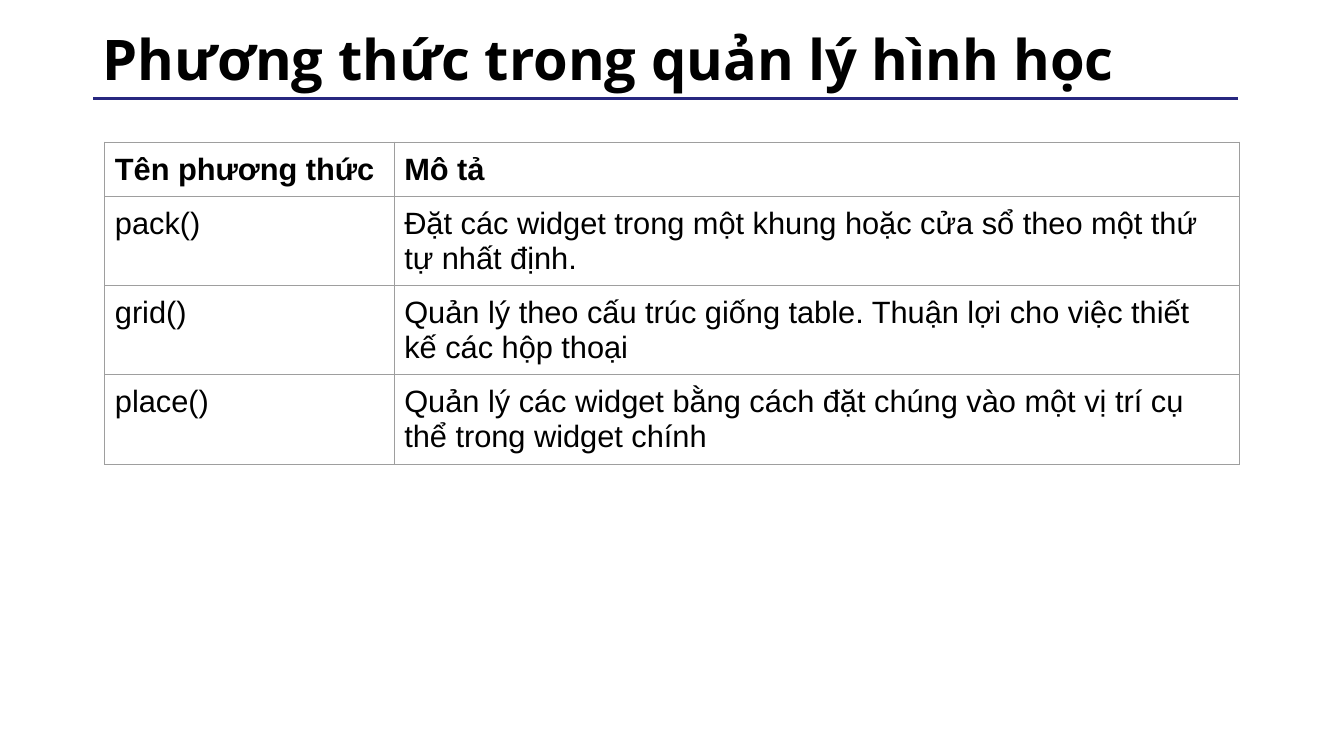
from dataclasses import dataclass

from lxml.etree import SubElement
from pptx import Presentation
from pptx.dml.color import RGBColor
from pptx.enum.shapes import MSO_CONNECTOR
from pptx.enum.text import MSO_ANCHOR, PP_ALIGN
from pptx.oxml import parse_xml
from pptx.oxml.ns import nsdecls, qn
from pptx.util import Inches, Pt


@dataclass(frozen=True)
class Theme:
    title_font: str = "Open Sans"
    body_font: str = "Arial"
    title_size: int = 40
    body_size: int = 22
    text: str = "000000"
    rule: str = "272780"
    border: str = "9E9E9E"
    rule_width: float = 2
    border_width: float = 0.75


THEME = Theme()
WIDTH, HEIGHT = 13.33, 7.5
LEFT = 0.92
TABLE_LEFT, TABLE_TOP = 1.04, 1.41
COLUMNS = (2.87, 8.38)
PADDING = 0.1
LINE_HEIGHT = 0.34
HEADER = ("Tên phương thức", "Mô tả")
METHODS = (
    ("pack()", "Đặt các widget trong một khung hoặc cửa sổ theo một thứ tự nhất định."),
    ("grid()", "Quản lý theo cấu trúc giống table. Thuận lợi cho việc thiết kế các hộp thoại"),
    ("place()", "Quản lý các widget bằng cách đặt chúng vào một vị trí cụ thể trong widget chính"),
)


def write(tf, text, font=THEME.body_font, size=THEME.body_size, bold=False, spacing=1.0):
    p = tf.paragraphs[0]
    p.alignment = PP_ALIGN.LEFT
    p.line_spacing = spacing
    r = p.add_run()
    r.text = text
    r.font.name, r.font.size, r.font.bold = font, Pt(size), bold
    r.font.color.rgb = RGBColor.from_string(THEME.text)


def add_title(s, text):
    title = s.shapes.title
    title.left, title.top = Inches(LEFT), Inches(0.17)
    title.width, title.height = Inches(11.79), Inches(0.89)
    tf = title.text_frame
    tf.vertical_anchor = MSO_ANCHOR.MIDDLE
    write(tf, text, font=THEME.title_font, size=THEME.title_size, bold=True, spacing=0.9)


def add_rule(s, left, right, y):
    line = s.shapes.add_connector(
        MSO_CONNECTOR.STRAIGHT, Inches(right), Inches(y), Inches(left), Inches(y))
    line.line.color.rgb = RGBColor.from_string(THEME.rule)
    line.line.width = Pt(THEME.rule_width)
    SubElement(line._element.spPr, qn("a:effectLst"))


def set_borders(cell):
    """Line all four sides; the schema wants borders ahead of the fill."""
    tc_pr = cell._tc.get_or_add_tcPr()
    for i, side in enumerate(("lnL", "lnR", "lnT", "lnB")):
        tc_pr.insert(i, parse_xml(
            f'<a:{side} {nsdecls("a")} w="{Pt(THEME.border_width)}"><a:solidFill>'
            f'<a:srgbClr val="{THEME.border}"/></a:solidFill></a:{side}>'))


def fill_cell(cell, text, bold):
    cell.margin_left = cell.margin_right = Inches(PADDING)
    cell.margin_top = cell.margin_bottom = Inches(PADDING)
    cell.fill.background()
    set_borders(cell)
    write(cell.text_frame, text, bold=bold)


def add_method_table(s, header, methods):
    rows = (header, *methods)
    heights = [LINE_HEIGHT * (1 if row is header else 2) + 2 * PADDING for row in rows]
    table = s.shapes.add_table(
        len(rows), len(COLUMNS), Inches(TABLE_LEFT), Inches(TABLE_TOP),
        Inches(sum(COLUMNS)), Inches(sum(heights))).table
    table.horz_banding = False
    for column, width in zip(table.columns, COLUMNS):
        column.width = Inches(width)
    for i, (row, height) in enumerate(zip(rows, heights)):
        table.rows[i].height = Inches(height)
        for j, text in enumerate(row):
            fill_cell(table.cell(i, j), text, bold=row is header)


def main():
    prs = Presentation()
    prs.slide_width, prs.slide_height = Inches(WIDTH), Inches(HEIGHT)
    s = prs.slides.add_slide(prs.slide_layouts[5])
    add_rule(s, LEFT, 12.28, 0.98)
    add_title(s, "Phương thức trong quản lý hình học")
    add_method_table(s, HEADER, METHODS)
    prs.save("out.pptx")


if __name__ == "__main__":
    main()
